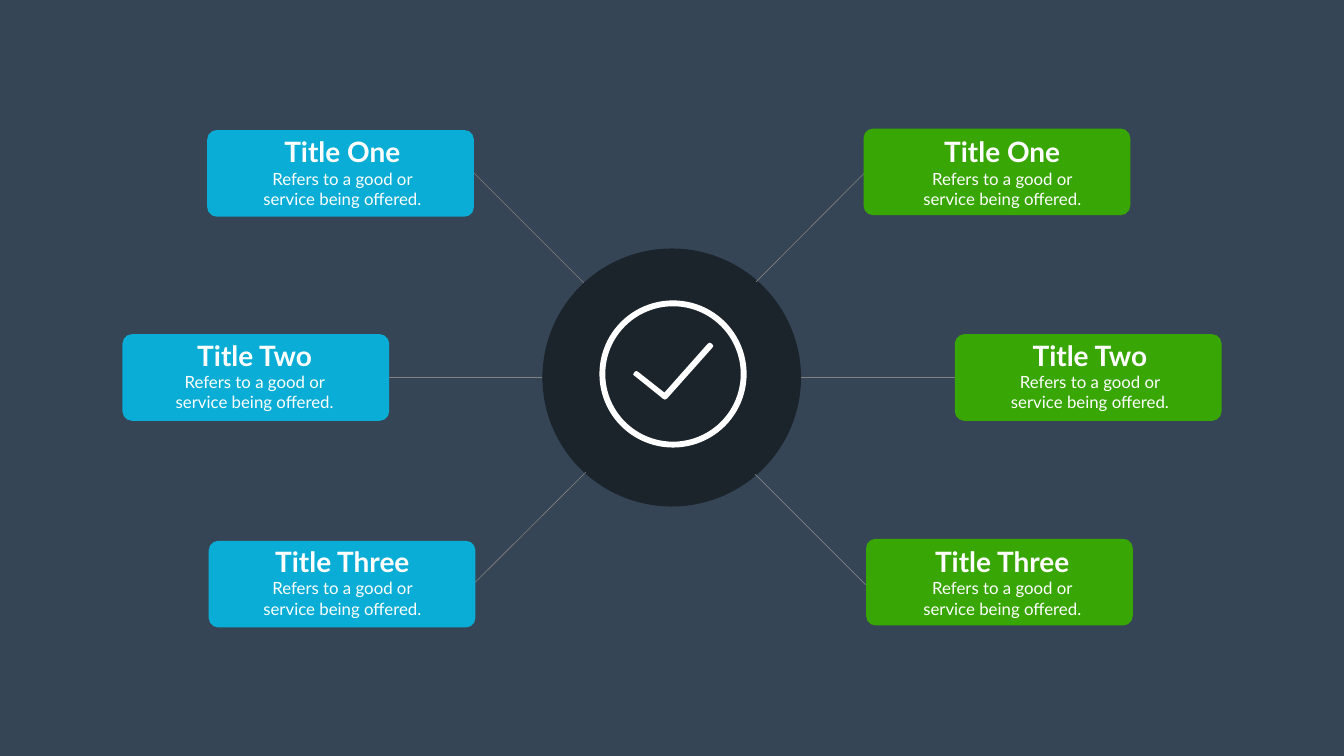
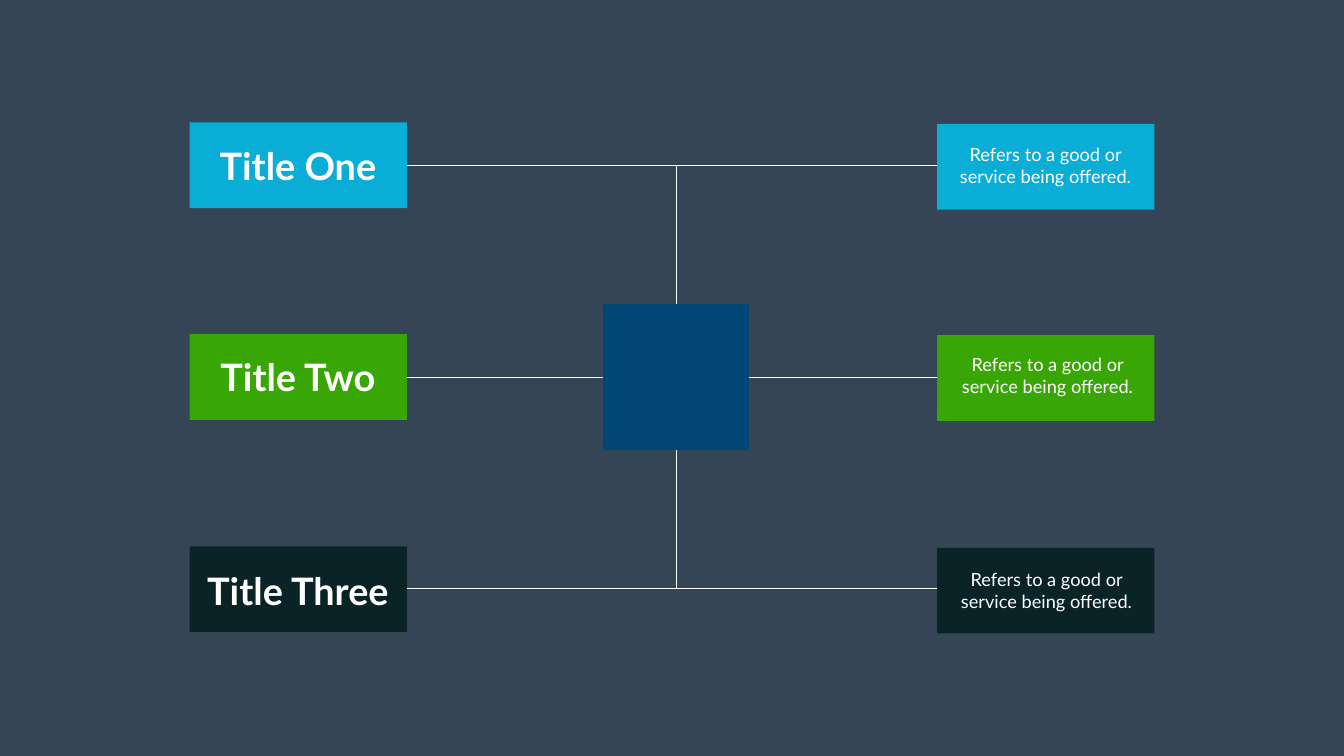
from pptx import Presentation
from pptx.dml.color import RGBColor
from pptx.enum.shapes import MSO_CONNECTOR as Connector, MSO_SHAPE as Shape
from pptx.enum.text import MSO_AUTO_SIZE as AutoSize, PP_ALIGN as Align
from pptx.oxml.ns import qn
from pptx.util import Inches, Pt
from lxml import etree

SLATE = RGBColor(0x36, 0x45, 0x56)
CHARCOAL = RGBColor(0x1B, 0x23, 0x2B)
GRAY = RGBColor(0x80, 0x80, 0x80)
WHITE = RGBColor(0xFF, 0xFF, 0xFF)
CYAN = RGBColor(0x09, 0xAD, 0xD5)
GREEN = RGBColor(0x38, 0xA6, 0x04)
NAVY = RGBColor(0x00, 0x47, 0x76)
DARK_TEAL = RGBColor(0x0A, 0x23, 0x26)

DESCRIPTION = "Refers to a good or service being offered."
TITLES = ("Title One", "Title Two", "Title Three")


class Deck:
    def __init__(self):
        self.presentation = Presentation()
        self.presentation.slide_width = Inches(26.66)
        self.presentation.slide_height = Inches(15)
        background = self.presentation.slide_master.background.fill
        background.solid()
        background.fore_color.rgb = SLATE
        self.slide = None

    def add_slide(self):
        blank = self.presentation.slide_layouts[6]
        self.slide = self.presentation.slides.add_slide(blank)

    def shape(self, kind, left, top, width, height, color, adjustment=None):
        shape = self.slide.shapes.add_shape(
            kind, Inches(left), Inches(top), Inches(width), Inches(height))
        if adjustment is not None:
            shape.adjustments[0] = adjustment
        self.paint(shape, color)

    def paint(self, shape, color):
        shape.shadow.inherit = False
        shape.fill.solid()
        shape.fill.fore_color.rgb = color
        shape.line.fill.background()

    def outline(self, points, closed):
        corners = [(Inches(x), Inches(y)) for x, y in points]
        builder = self.slide.shapes.build_freeform(*corners[0])
        builder.add_line_segments(corners[1:], close=closed)
        return builder.convert_to_shape()

    def polygon(self, points, color):
        self.paint(self.outline(points, True), color)

    def elbow(self, points, color, width):
        shape = self.outline(points, False)
        shape.shadow.inherit = False
        shape.fill.background()
        self.stroke(shape, color, width)

    def line(self, start, end, color, width):
        connector = self.slide.shapes.add_connector(
            Connector.STRAIGHT, *(Inches(value) for value in (*start, *end)))
        self.stroke(connector, color, width)
        etree.SubElement(connector._element.spPr, qn("a:effectLst"))

    def stroke(self, shape, color, width):
        shape.line.color.rgb = color
        shape.line.width = Pt(width)

    def text(self, text, center, top, width, height, size, bold=False, wrap=True):
        box = self.slide.shapes.add_textbox(
            Inches(center - width / 2), Inches(top), Inches(width), Inches(height))
        frame = box.text_frame
        frame.word_wrap = wrap
        frame.auto_size = AutoSize.SHAPE_TO_FIT_TEXT
        paragraph = frame.paragraphs[0]
        paragraph.alignment = Align.CENTER
        run = paragraph.add_run()
        run.text = text
        for name, value in {"name": "Lato", "size": Pt(size), "bold": bold}.items():
            setattr(run.font, name, value)
        run.font.color.rgb = WHITE

    def card(self, title, title_width, left, top, text_center, text_top, color):
        self.shape(Shape.ROUNDED_RECTANGLE, left, top, 5.29, 1.72, color, 0.11)
        self.text(title, text_center, text_top, title_width, 0.77, 40, True, False)
        self.text(DESCRIPTION, text_center, text_top + 0.67, 3.62, 0.91, 24)


def build_hub_slide(deck):
    deck.add_slide()
    deck.shape(Shape.OVAL, 10.76, 4.93, 5.13, 5.12, CHARCOAL)
    spokes = (
        ((15.88, 7.49), (18.96, 7.49)),
        ((7.68, 7.49), (10.76, 7.49)),
        ((15, 5.59), (17.18, 3.4)),
        ((17.17, 11.6), (14.98, 9.41)),
        ((11.62, 9.37), (9.43, 11.55)),
        ((9.4, 3.43), (11.58, 5.61)),
    )
    for start, end in spokes:
        deck.line(start, end, GRAY, 0.88)

    deck.shape(Shape.DONUT, 11.89, 5.96, 2.92, 2.92, WHITE, 0.04)
    check_mark = (
        (14.04, 6.82), (13.18, 7.79), (12.66, 7.38), (12.62, 7.36), (12.58, 7.39),
        (12.56, 7.43), (12.59, 7.46), (13.15, 7.91), (13.19, 7.93), (13.23, 7.91),
        (14.13, 6.9), (14.15, 6.86), (14.12, 6.82), (14.08, 6.8),
    )
    deck.polygon(check_mark, WHITE)

    title_widths = (2.54, 2.58, 2.93)
    text_tops = (2.62, 6.66, 10.75)
    sides = (
        (CYAN, ((4.11, 2.58, 6.79), (2.43, 6.63, 5.05), (4.14, 10.73, 6.79))),
        (GREEN, ((17.13, 2.55, 19.88), (18.94, 6.63, 21.62), (17.18, 10.69, 19.88))),
    )
    for color, places in sides:
        for title, width, text_top, (left, top, center) in zip(
                TITLES, title_widths, text_tops, places):
            deck.card(title, width, left, top, center, text_top, color)


def build_tree_slide(deck):
    deck.add_slide()
    left_edge, middle, right_edge = 8.07, 13.41, 18.59
    hub_top, hub_size = 6.03, 2.9
    hub_bottom = hub_top + hub_size
    for edge in (left_edge, right_edge):
        for hub_side, branch in ((hub_top, 3.28), (hub_bottom, 11.68)):
            corners = ((middle, hub_side), (middle, branch), (edge, branch))
            deck.elbow(corners, WHITE, 1.16)
        deck.line((edge, 7.48), (middle, 7.48), WHITE, 1.16)
    deck.shape(Shape.RECTANGLE, middle - hub_size / 2, hub_top, hub_size, hub_size, NAVY)

    box_width, box_height = 4.31, 1.7
    columns = (
        (left_edge - box_width, (2.43, 6.63, 10.84)),
        (right_edge, (2.46, 6.65, 10.87)),
    )
    for left, tops in columns:
        for top, color in zip(tops, (CYAN, GREEN, DARK_TEAL)):
            deck.shape(Shape.RECTANGLE, left, top, box_width, box_height, color)

    title_places = ((2.78, 3.35), (6.97, 3.4), (11.21, 3.88))
    for title, (top, width) in zip(TITLES, title_places):
        deck.text(title, 5.91, top, width, 1.01, 54, True, False)
    for center, top in ((20.74, 2.79), (20.78, 6.96), (20.76, 11.23)):
        deck.text(DESCRIPTION, center, top, 4.24, 0.98, 26)


def main():
    deck = Deck()
    build_hub_slide(deck)
    build_tree_slide(deck)
    deck.presentation.save("out.pptx")


if __name__ == "__main__":
    main()
